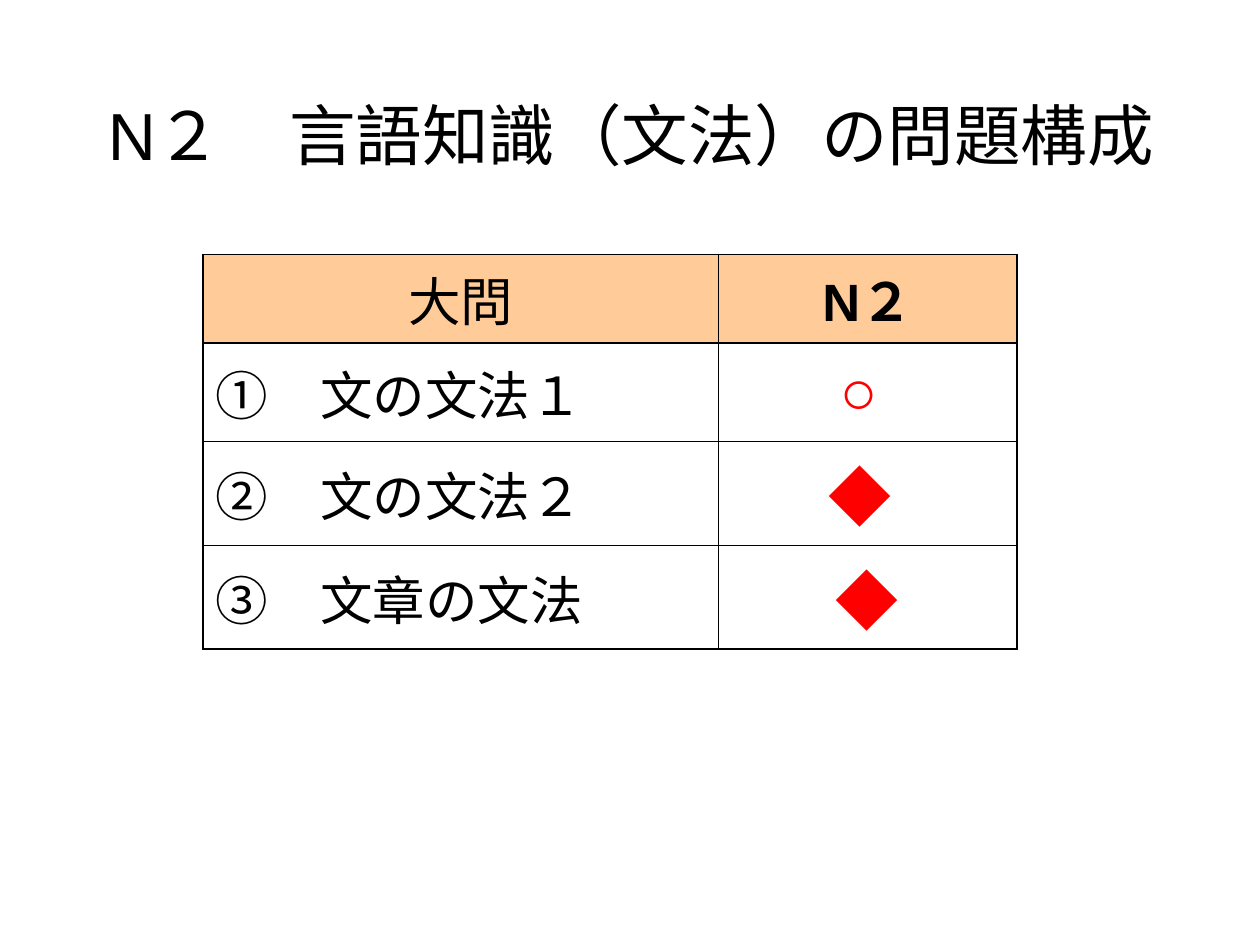
import pptx
import pptx.dml.color
import pptx.enum.text
import pptx.oxml
import pptx.oxml.ns
import pptx.util

Pt = pptx.util.Pt
ALIGN = pptx.enum.text.PP_ALIGN
MIDDLE = pptx.enum.text.MSO_ANCHOR.MIDDLE

COLORS = {"ink": "000000", "header": "FFCC99", "mark": "FF0000"}
LATIN, JAPANESE = "Arial", "Noto Sans CJK JP"
THICK, THIN = 1.08, 0.45

HEADINGS = ("大問", "N２")
QUESTIONS = (
    ("①　文の文法１", "○ "),
    ("②　文の文法２", "◆ "),
    ("③　文章の文法", "◆"),
)
COLUMN_WIDTHS = (294.5, 170.6)
ROW_HEIGHTS = (46.8, 56.2, 52.6, 54)


class SlideBuilder:
    def __init__(self, deck):
        self.page = deck.slides.add_slide(deck.slide_layouts[5])

    def format_text(self, frame, text, size, color="ink", bold=False,
                    align=ALIGN.CENTER, latin=LATIN, before=0):
        frame.text = text
        para = frame.paragraphs[0]
        para.alignment = align
        para.space_before = Pt(before)
        for span in para.runs:
            font = span.font
            font.name, font.size, font.bold = latin, Pt(size), bold
            font.color.rgb = pptx.dml.color.RGBColor.from_string(COLORS[color])
            east_asian = pptx.oxml.parse_xml(
                f'<a:ea {pptx.oxml.ns.nsdecls("a")} typeface="{JAPANESE}"/>')
            font._element.find(pptx.oxml.ns.qn("a:latin")).addnext(east_asian)

    def title(self, text, left, top, width, height):
        box = self.page.shapes.title
        box.left, box.top, box.width, box.height = map(Pt, (left, top, width, height))
        frame = box.text_frame
        frame.word_wrap = True
        frame.auto_size = pptx.enum.text.MSO_AUTO_SIZE.NONE
        frame.vertical_anchor = MIDDLE
        self.format_text(frame, text, 38)

    def table(self, left, top, widths, heights):
        table = self.page.shapes.add_table(
            len(heights), len(widths), Pt(left), Pt(top),
            Pt(sum(widths)), Pt(sum(heights))).table
        table.first_row = table.horz_banding = False
        for column, width in zip(table.columns, widths):
            column.width = Pt(width)
        for row, height in zip(table.rows, heights):
            row.height = Pt(height)
        return table

    def cell(self, cell, text, size, borders, fill=None, **style):
        cell.vertical_anchor = MIDDLE
        self.format_text(cell.text_frame, text, size, **style)
        if fill:
            cell.fill.solid()
            cell.fill.fore_color.rgb = pptx.dml.color.RGBColor.from_string(COLORS[fill])
        else:
            cell.fill.background()
        self.borders(cell, borders)

    def borders(self, cell, widths):
        """Draw the left, right, top and bottom borders, in that order."""
        properties = cell._tc.get_or_add_tcPr()
        for index, (side, width) in enumerate(zip("LRTB", widths)):
            properties.insert(index, pptx.oxml.parse_xml(
                f'<a:ln{side} {pptx.oxml.ns.nsdecls("a")} w="{int(Pt(width))}">'
                f'<a:solidFill><a:srgbClr val="{COLORS["ink"]}"/></a:solidFill>'
                f'</a:ln{side}>'))


def main():
    deck = pptx.Presentation()
    deck.slide_width, deck.slide_height = Pt(720), Pt(540)
    builder = SlideBuilder(deck)
    builder.title("N２　言語知識（文法）の問題構成", 36.7, 31.7, 648, 90)
    table = builder.table(115.9, 145.4, COLUMN_WIDTHS, ROW_HEIGHTS)

    # Rules around the table and under its header are thick, the others thin.
    across = (THICK, THICK, THIN, THIN, THICK)
    down = (THICK, THIN, THICK)
    for row, texts in enumerate((HEADINGS, *QUESTIONS)):
        for column, text in enumerate(texts):
            if row == 0:
                style = dict(size=30, fill="header", bold=column == 1, before=7.5)
            elif column == 0:
                style = dict(size=30, align=ALIGN.LEFT, before=7.5)
            else:
                style = dict(size=36, color="mark", before=9,
                             latin=JAPANESE if "◆" in text else LATIN)
            borders = down[column:column + 2] + across[row:row + 2]
            builder.cell(table.cell(row, column), text, borders=borders, **style)

    deck.save("out.pptx")


if __name__ == "__main__":
    main()
